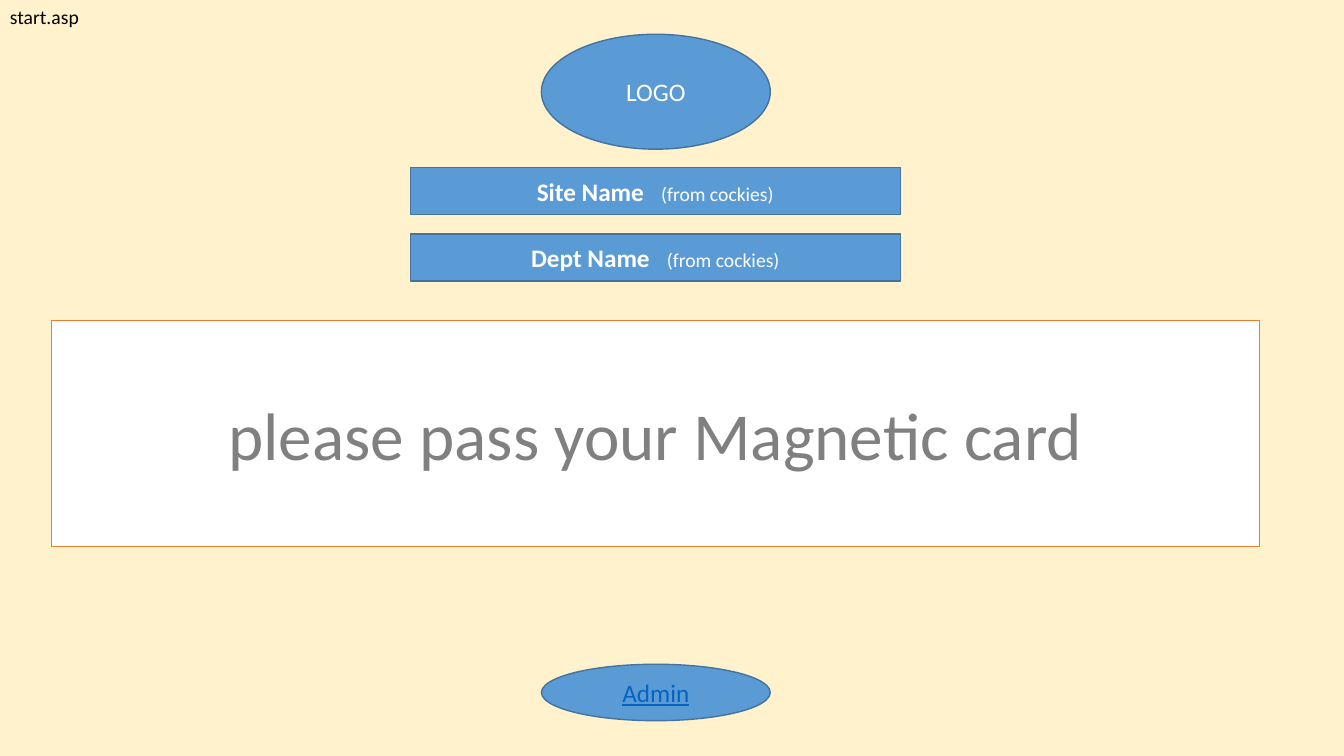
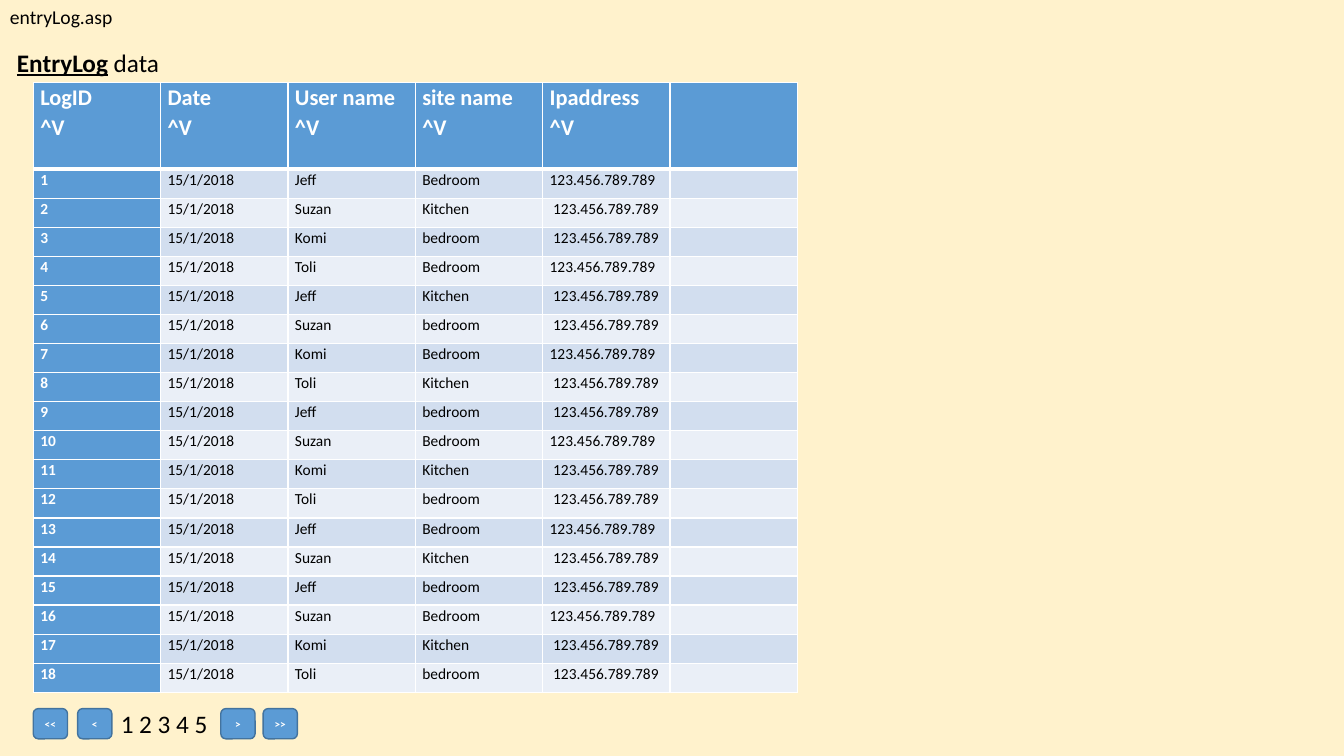
import lxml.etree
import pptx
import pptx.dml.color
import pptx.enum.shapes
import pptx.enum.text
import pptx.oxml.ns
import pptx.util

Inches = pptx.util.Inches
RGBColor = pptx.dml.color.RGBColor
SHAPES = pptx.enum.shapes.MSO_SHAPE
ALIGN = pptx.enum.text.PP_ALIGN
qn = pptx.oxml.ns.qn

CREAM = RGBColor(0xFF, 0xF2, 0xCC)
BLUE = RGBColor(0x5B, 0x9B, 0xD5)
DARK_BLUE = RGBColor(0x43, 0x73, 0x9E)
ORANGE = RGBColor(0xED, 0x7D, 0x31)
LINK = RGBColor(0x05, 0x63, 0xC1)
GRAY = RGBColor(0x80, 0x80, 0x80)
BLACK = RGBColor(0x00, 0x00, 0x00)
WHITE = RGBColor(0xFF, 0xFF, 0xFF)
BANDS = (RGBColor(0xD2, 0xDE, 0xEF), RGBColor(0xEA, 0xEF, 0xF7))

HEADINGS = ["LogID", "Date", "User name", "site name", "Ipaddress"]
USERS = ["Jeff", "Suzan", "Komi", "Toli"]
LOG_USERS = USERS * 3 + USERS[:2] + USERS
SITES = [("Bedroom", "123.456.789.789"),
         ("Kitchen", " 123.456.789.789"),
         ("bedroom", " 123.456.789.789")]


class Wireframe:
    """Holds the shared style and the current page."""

    font = "Calibri"

    def __init__(self):
        self.deck = pptx.Presentation()
        self.deck.slide_width = Inches(13.33)
        self.deck.slide_height = Inches(7.5)
        self.page = None

    def new_page(self, file_name, name_width):
        self.page = self.deck.slides.add_slide(self.deck.slide_layouts[6])
        self.page.background.fill.solid()
        self.page.background.fill.fore_color.rgb = CREAM
        self.label(0, 0, name_width, 0.34, [(file_name, {"size": 14})])

    def add_span(self, para, text, size=18, color=BLACK, bold=False, underline=False):
        span = para.add_run()
        span.text = text
        span.font.name = self.font
        span.font.size = pptx.util.Pt(size)
        span.font.color.rgb = color
        span.font.bold = bold
        span.font.underline = underline

    def label(self, left, top, width, height, spans):
        box = self.page.shapes.add_textbox(
            Inches(left), Inches(top), Inches(width), Inches(height))
        frame = box.text_frame
        frame.word_wrap = False
        frame.auto_size = pptx.enum.text.MSO_AUTO_SIZE.SHAPE_TO_FIT_TEXT
        for text, style in spans:
            self.add_span(frame.paragraphs[0], text, **style)

    def shape(self, kind, left, top, width, height, spans, fill=BLUE, line=DARK_BLUE):
        shape = self.page.shapes.add_shape(
            kind, Inches(left), Inches(top), Inches(width), Inches(height))
        shape.shadow.inherit = False
        shape.fill.solid()
        shape.fill.fore_color.rgb = fill
        shape.line.color.rgb = line
        shape.line.width = pptx.util.Pt(1)
        frame = shape.text_frame
        frame.word_wrap = True
        frame.vertical_anchor = pptx.enum.text.MSO_ANCHOR.MIDDLE
        para = frame.paragraphs[0]
        para.alignment = ALIGN.CENTER
        for text, style in spans:
            self.add_span(para, text, **{"color": WHITE, **style})

    def borders(self, cell, top=1, bottom=1):
        properties = cell._tc.get_or_add_tcPr()
        for side, points in (("L", 1), ("R", 1), ("T", top), ("B", bottom)):
            line = lxml.etree.SubElement(
                properties, qn("a:ln" + side), w=str(pptx.util.Pt(points)))
            fill = lxml.etree.SubElement(line, qn("a:solidFill"))
            lxml.etree.SubElement(fill, qn("a:srgbClr"), val=str(WHITE))

    def cell(self, cell, lines, fill, top=1, bottom=1, **style):
        cell.margin_left = cell.margin_right = Inches(0.07)
        cell.margin_top = cell.margin_bottom = 0
        self.borders(cell, top, bottom)
        cell.fill.solid()
        cell.fill.fore_color.rgb = fill
        frame = cell.text_frame
        for index, text in enumerate(lines):
            para = frame.add_paragraph() if index else frame.paragraphs[0]
            para.line_spacing = 1.07
            self.add_span(para, text, **style)
        if not lines:
            # Small end mark, so that an empty cell does not stretch its row
            lxml.etree.SubElement(
                frame.paragraphs[0]._p, qn("a:endParaRPr"), sz="1100")

    def table(self, left, top, width, height, header_height, headings, records):
        row_count, column_count = len(records) + 1, len(headings) + 1
        table = self.page.shapes.add_table(
            row_count, column_count, Inches(left), Inches(top),
            Inches(width), Inches(height)).table
        table.first_row = table.horz_banding = False
        for row in table.rows:
            row.height = Inches((height - header_height) / len(records))
        table.rows[0].height = Inches(header_height)

        for column in range(column_count):
            lines = [headings[column], "^V"] if column < len(headings) else []
            self.cell(table.cell(0, column), lines, BLUE, bottom=3,
                      size=16, color=WHITE, bold=True)
        for row, record in enumerate(records, 1):
            for column in range(column_count):
                key = column == 0
                self.cell(table.cell(row, column), record[column:column + 1],
                          BLUE if key else BANDS[(row - 1) % 2],
                          top=3 if row == 1 else 1, size=11,
                          color=WHITE if key else BLACK, bold=key)


def start_page(wireframe):
    wireframe.new_page("start.asp", 0.9)
    wireframe.shape(SHAPES.OVAL, 5.37, 0.34, 2.27, 1.14, [("LOGO", {})])
    # Name bars
    for top, name in ((1.66, "Site Name   "), (2.32, "Dept Name   ")):
        wireframe.shape(SHAPES.RECTANGLE, 4.07, top, 4.86, 0.47,
                        [(name, {"bold": True}), ("(from cockies)", {"size": 14})])
    # Prompt and admin link
    wireframe.shape(SHAPES.RECTANGLE, 0.51, 3.18, 11.98, 2.24,
                    [("please pass your Magnetic card", {"size": 48, "color": GRAY})],
                    fill=WHITE, line=ORANGE)
    wireframe.shape(SHAPES.OVAL, 5.37, 6.59, 2.27, 0.56,
                    [("Admin", {"color": LINK, "underline": True})])


def entry_log_page(wireframe):
    wireframe.new_page("entryLog.asp", 1.23)
    wireframe.label(0.07, 0.42, 1.63, 0.4,
                    [("EntryLog", {"bold": True, "underline": True}), (" data", {})])
    # Log entries
    records = [[str(index + 1), "15/1/2018", user, *SITES[index % len(SITES)]]
               for index, user in enumerate(LOG_USERS)]
    wireframe.table(0.33, 0.82, 7.58, 6.05, 0.86, HEADINGS, records)
    # Pager
    for left, sign in ((0.33, "<<"), (0.77, "<"), (2.19, ">"), (2.61, ">>")):
        wireframe.shape(SHAPES.ROUNDED_RECTANGLE, left, 7.03, 0.34, 0.3,
                        [(sign, {"size": 8, "bold": True})])
    wireframe.label(1.1, 6.98, 1.07, 0.4, [("1 2 3 4 5", {})])


def main():
    wireframe = Wireframe()
    start_page(wireframe)
    entry_log_page(wireframe)
    wireframe.deck.save("out.pptx")


if __name__ == "__main__":
    main()
